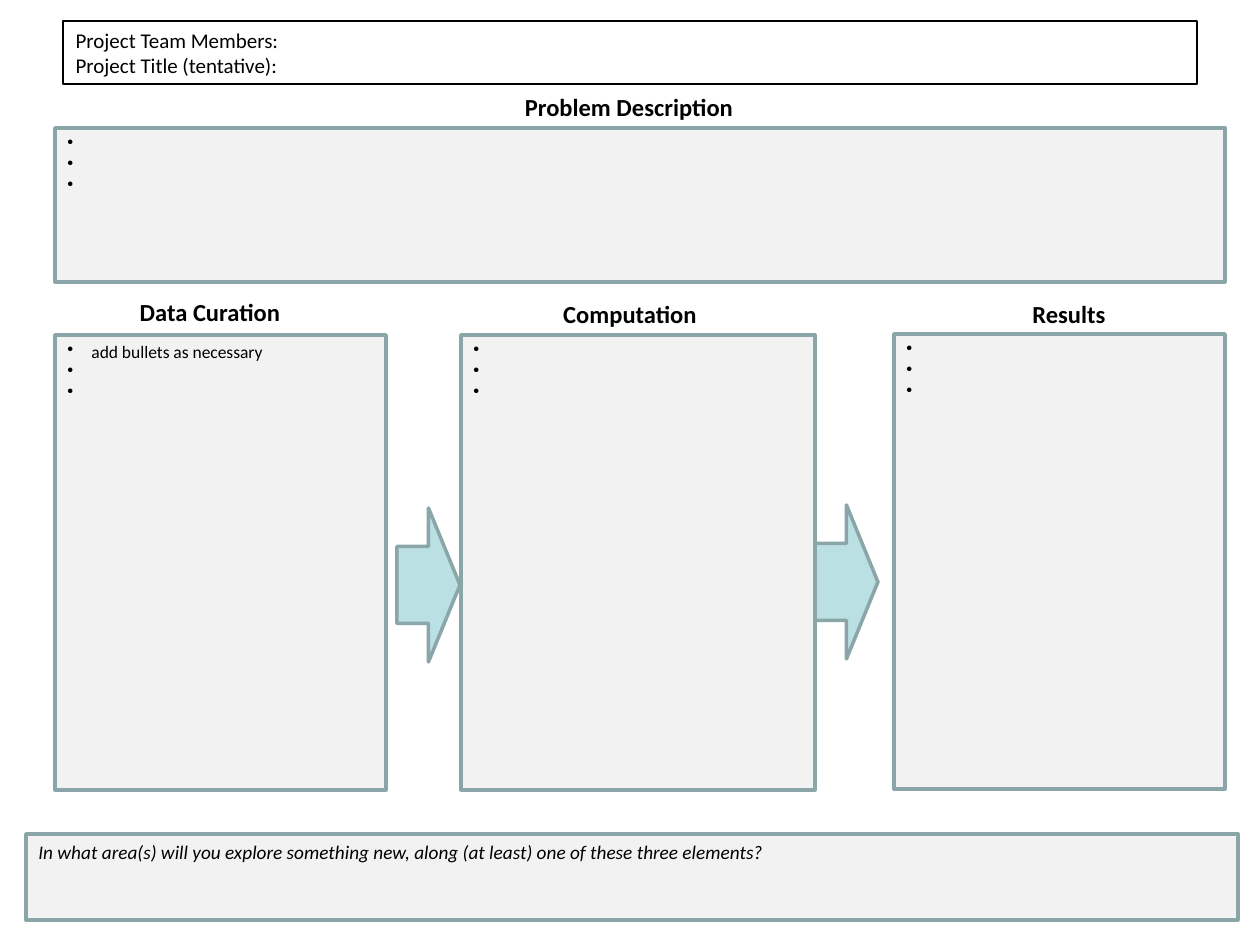
import pptx
import pptx.util
import pptx.dml.color
import pptx.enum.shapes
import pptx.enum.text
import lxml.etree

KIND = pptx.enum.shapes.MSO_SHAPE
ALIGN = pptx.enum.text.PP_ALIGN
ANCHOR = pptx.enum.text.MSO_ANCHOR
FIT = pptx.enum.text.MSO_AUTO_SIZE


def px(n):
    return pptx.util.Emu(int(n * 914400 / 126))


def color(code):
    return pptx.dml.color.RGBColor.from_string(code)


def write(frame, lines, size=10, bold=False, slant=False, align=ALIGN.LEFT,
          anchor=ANCHOR.TOP, wrap=True, fit=FIT.NONE, dots=False):
    frame.word_wrap = wrap
    frame.auto_size = fit
    frame.vertical_anchor = anchor
    for i, line in enumerate(lines):
        para = frame.add_paragraph() if i else frame.paragraphs[0]
        para.text = line
        para.alignment = align
        for font in [para.font] + [run.font for run in para.runs]:
            font.name = "Calibri"
            font.size = pptx.util.Pt(size)
            font.bold = bold
            font.italic = slant
            font.color.rgb = color("000000")
        if dots:
            props = para._p.get_or_add_pPr()
            props.set("marL", str(px(24)))
            props.set("indent", str(px(-24)))
            tag = pptx.oxml.ns.qn("a:buChar")
            mark = lxml.etree.Element(tag, char="\u2022")
            props.insert_element_before(mark, "a:tabLst", "a:defRPr", "a:extLst")


class Page:
    """Draws the project template on one slide."""
    edge = "8AA6A8"
    panel = "F2F2F2"
    accent = "BBE0E3"

    def __init__(self, deck):
        self.slide = deck.slides.add_slide(deck.slide_layouts[5])

    def title(self, text, x, y, w, h):
        head = self.slide.shapes.title
        head.left, head.top, head.width, head.height = map(px, (x, y, w, h))
        head.line.color.rgb = color("000000")
        head.line.width = pptx.util.Pt(0.75)
        write(head.text_frame, [text], size=12, anchor=ANCHOR.MIDDLE)

    def label(self, text, x, y, w):
        box = self.slide.shapes.add_textbox(px(x), px(y), px(w), px(43))
        write(box.text_frame, [text], size=14, bold=True, align=ALIGN.CENTER,
              wrap=False, fit=FIT.SHAPE_TO_FIT_TEXT)

    def shape(self, kind, fill, x, y, w, h):
        item = self.slide.shapes.add_shape(kind, px(x), px(y), px(w), px(h))
        item.shadow.inherit = False
        item.fill.solid()
        item.fill.fore_color.rgb = color(fill)
        item.line.color.rgb = color(self.edge)
        item.line.width = pptx.util.Pt(2)
        return item

    def arrow(self, x, y):
        self.shape(KIND.RIGHT_ARROW, self.accent, x, y, 63, 154)

    def box(self, lines, x, y, w, h, **style):
        item = self.shape(KIND.RECTANGLE, self.panel, x, y, w, h)
        write(item.text_frame, lines, **style)


deck = pptx.Presentation()
deck.slide_width = pptx.util.Inches(10)
deck.slide_height = pptx.util.Inches(7.5)
page = Page(deck)

page.title("Project Team Members: \vProject Title (tentative):", 63, 21, 1134, 63)
for text, x, y, w in [
    ("Data Curation", 127, 291, 166),
    ("Computation", 550, 293, 160),
    ("Results", 1019, 293, 100),
    ("Problem Description", 511, 86, 236),
]:
    page.label(text, x, y, w)

for x, y in [(397, 508), (815, 505)]:
    page.arrow(x, y)

for first, x, y, w, h in [
    (" ", 55, 128, 1170, 154),
    ("add bullets as necessary", 55, 335, 331, 455),
    (" ", 461, 335, 354, 455),
    (" ", 894, 334, 331, 455),
]:
    page.box([first, " ", " "], x, y, w, h, dots=True)

page.box(["In what area(s) will you explore something new, "
          "along (at least) one of these three elements?"],
         26, 834, 1212, 86, size=11, slant=True)

deck.save("out.pptx")
